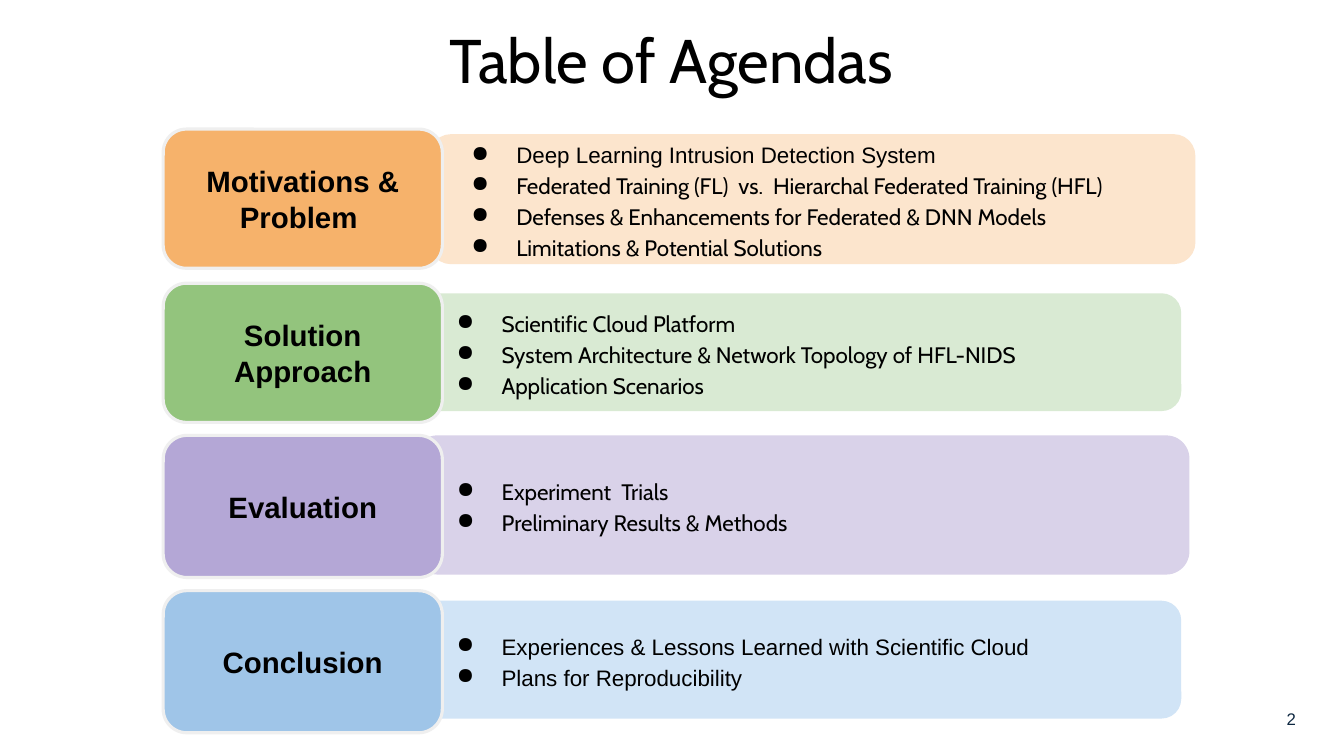
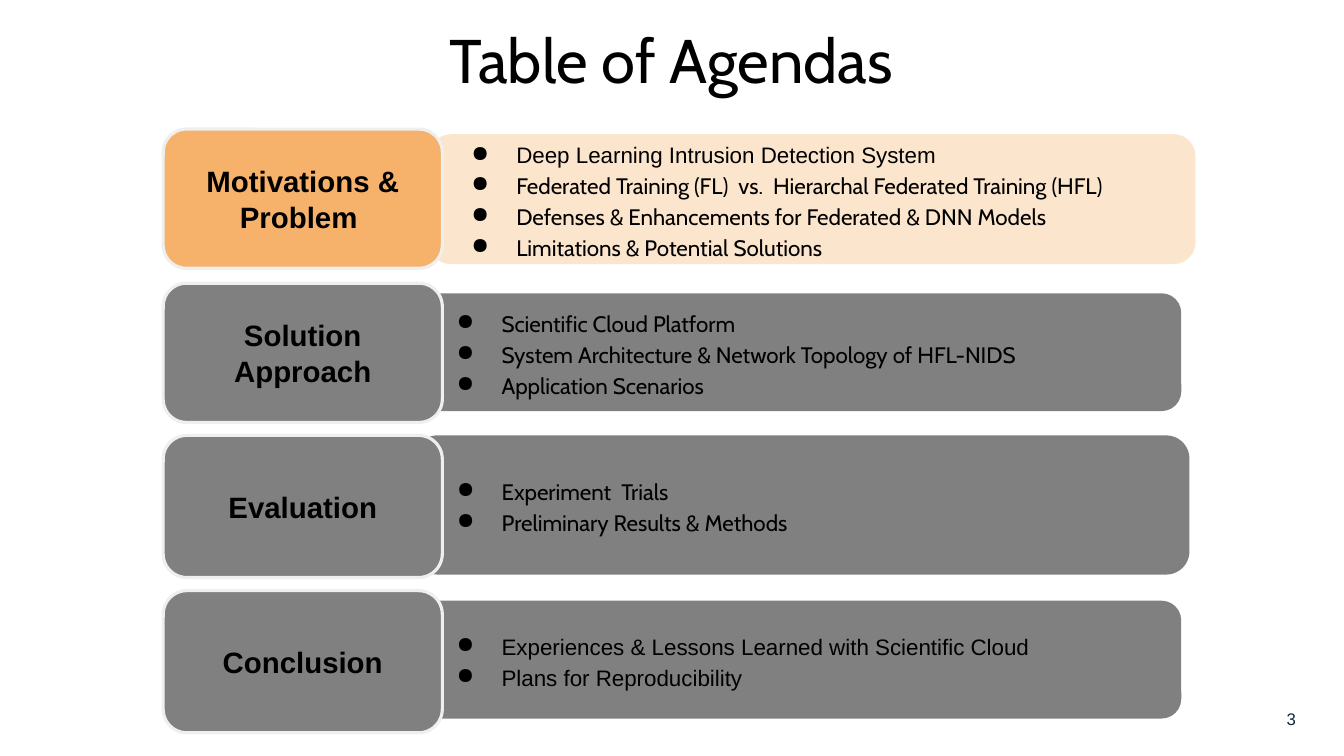
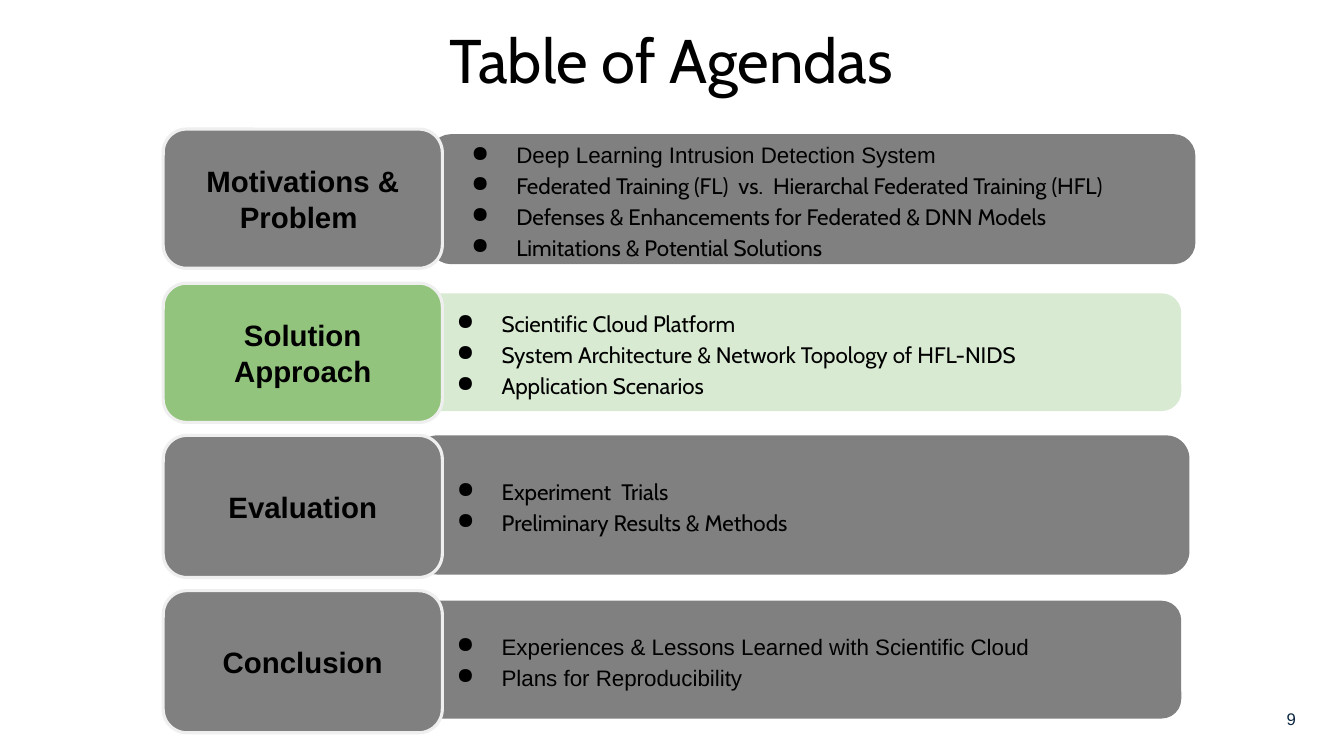
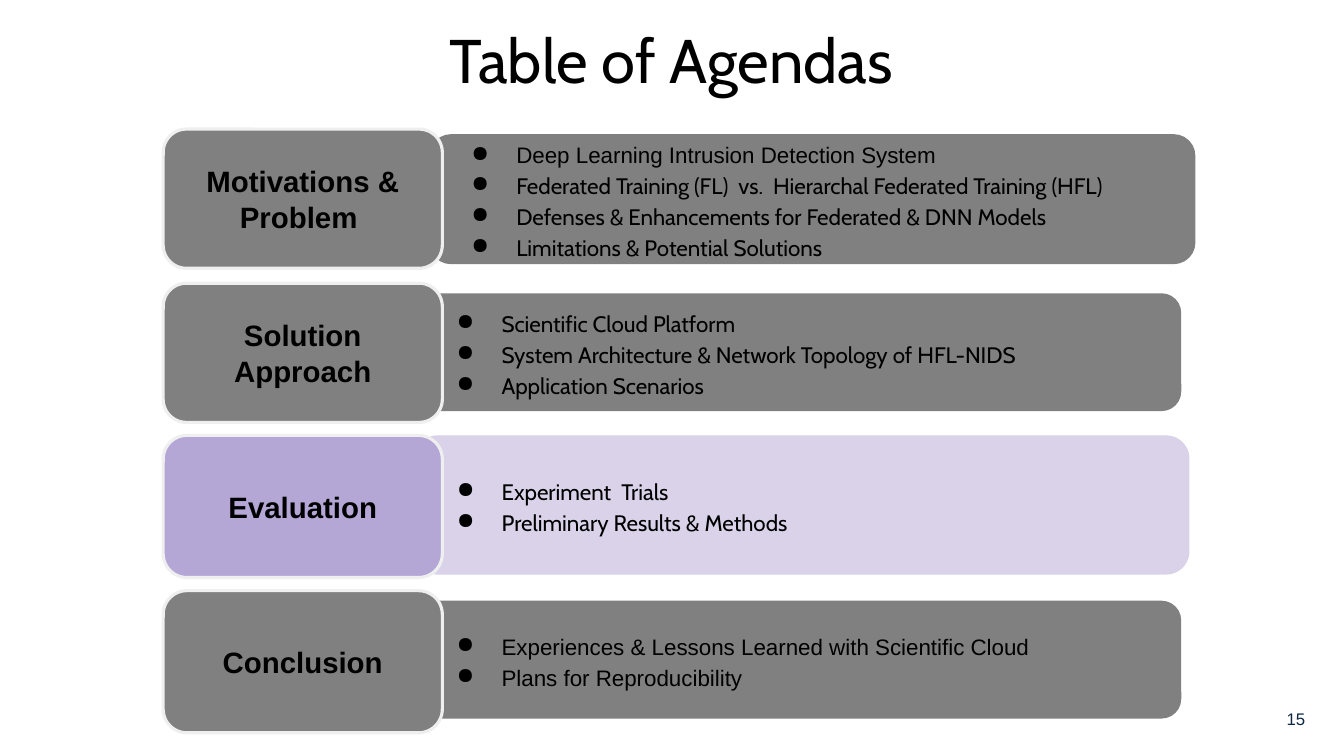
from lxml import etree
from pptx import Presentation
from pptx.dml.color import RGBColor
from pptx.enum import shapes, text
from pptx.oxml.ns import qn
from pptx.util import Pt

COLOURS = {
    "ink": "000000", "number": "0E2841", "edge": "EFEFEF", "dimmed": "808080",
    "orange": "F6B26B", "pale orange": "FCE5CD",
    "green": "93C47D", "pale green": "D9EAD3",
    "purple": "B4A7D6", "pale purple": "D9D2E9",
    "blue": "9FC5E8", "pale blue": "D1E4F6",
}
SANS, CABIN = "Arial", "Cabin"
LABEL_LEFT, LABEL_WIDTH = 116.6, 199.4

# label, colour, label (top, height), panel (left, top, width, height), items
SECTIONS = [
    ("Motivations & Problem ", "orange", (92.2, 99.4), (306.7, 95.8, 547.2, 92.9), [
        ("Deep Learning Intrusion Detection System", SANS),
        ("Federated Training (FL)  vs.  Hierarchal Federated Training (HFL)", CABIN),
        ("Defenses & Enhancements for Federated & DNN Models", CABIN),
        ("Limitations & Potential Solutions", CABIN)]),
    ("Solution Approach", "green", (202.3, 99.4), (296.6, 209.5, 547.2, 84.2), [
        ("Scientific Cloud Platform", CABIN),
        ("System Architecture & Network Topology of HFL-NIDS", CABIN),
        ("Application Scenarios", CABIN)]),
    ("Evaluation", "purple", (311, 101.5), (295.9, 311, 553.7, 99.4), [
        ("Experiment  Trials", CABIN),
        ("Preliminary Results & Methods", CABIN)]),
    ("Conclusion", "blue", (421.9, 101.5), (296.6, 429.1, 547.2, 84.2), [
        ("Experiences & Lessons Learned with Scientific Cloud", SANS),
        ("Plans for Reproducibility", SANS)]),
]
# slide number, highlighted colours
SLIDES = [
    (2, ("orange", "green", "purple", "blue")),
    (3, ("orange",)),
    (9, ("green",)),
    (15, ("purple",)),
]


def write(sp, lines, size, colour="ink", bold=False, bullets=False,
          align=text.PP_ALIGN.LEFT, anchor=text.MSO_ANCHOR.MIDDLE):
    """Fill a shape with one paragraph per (text, font) pair."""
    tf = sp.text_frame
    tf.word_wrap = True
    tf.vertical_anchor = anchor
    tf.margin_left = tf.margin_right = tf.margin_top = tf.margin_bottom = Pt(9.6)
    for i, (words, font) in enumerate(lines):
        p = tf.add_paragraph() if i else tf.paragraphs[0]
        p.alignment = align
        r = p.add_run()
        r.text = words
        r.font.name, r.font.size, r.font.bold = font, Pt(size), bold
        r.font.color.rgb = RGBColor.from_string(COLOURS[colour])
        if bullets:
            p.line_spacing = 1.15
            pPr = p._p.get_or_add_pPr()
            pPr.set("marL", str(Pt(48)))
            pPr.set("indent", str(Pt(-32)))
            etree.SubElement(pPr, qn("a:buChar")).set("char", "●")


def add_card(s, box, fill, edged=False):
    """Add a rounded rectangle, with a light outline if edged."""
    sp = s.shapes.add_shape(shapes.MSO_SHAPE.ROUNDED_RECTANGLE, *map(Pt, box))
    sp.shadow.inherit = False
    sp.fill.solid()
    sp.fill.fore_color.rgb = RGBColor.from_string(COLOURS[fill])
    if edged:
        sp.line.color.rgb = RGBColor.from_string(COLOURS["edge"])
        sp.line.width = Pt(2.25)
    else:
        sp.line.fill.background()
    return sp


prs = Presentation()
prs.slide_width, prs.slide_height = Pt(960), Pt(540)

for number, highlighted in SLIDES:
    s = prs.slides.add_slide(prs.slide_layouts[6])
    title = s.shapes.add_textbox(Pt(32.4), Pt(5.8), Pt(894.2), Pt(84.2))
    write(title, [("Table of Agendas", CABIN)], 44,
          align=text.PP_ALIGN.CENTER, anchor=text.MSO_ANCHOR.TOP)

    for name, colour, (top, height), panel_box, items in SECTIONS:
        lit = colour in highlighted
        panel = add_card(s, panel_box, f"pale {colour}" if lit else "dimmed")
        write(panel, items, 16, bullets=True)
        label = add_card(s, (LABEL_LEFT, top, LABEL_WIDTH, height),
                         colour if lit else "dimmed", edged=True)
        write(label, [(name, SANS)], 21, bold=True, align=text.PP_ALIGN.CENTER)

    page = s.shapes.add_textbox(Pt(909.4), Pt(493.2), Pt(36), Pt(41))
    write(page, [(str(number), SANS)], 12, colour="number")

prs.save("out.pptx")
